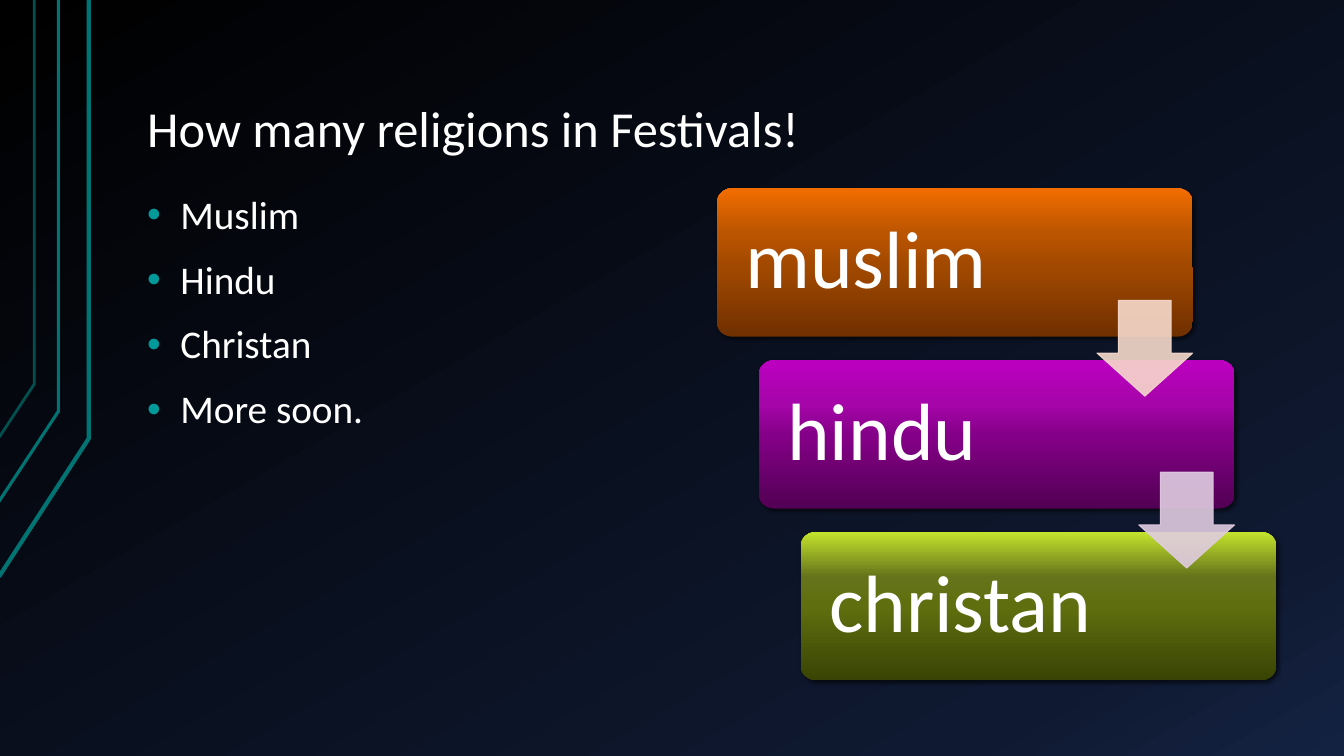
import pptx
import pptx.util
import pptx.dml.color
import pptx.enum.shapes
import pptx.enum.text
import pptx.oxml.ns
from lxml import etree

Inches = pptx.util.Inches
Pt = pptx.util.Pt
SHAPE = pptx.enum.shapes.MSO_SHAPE
ANCHOR = pptx.enum.text.MSO_ANCHOR
qn = pptx.oxml.ns.qn

FONT = "Calibri"
COLORS = {
    "text": "FFFFFF",
    "bullet": "009999",
    "line": "007373",
    "dim": "005050",
    "shadow": "000000",
    "peach": "F7DACC",
    "lilac": "E0CCE1",
}
NIGHT = [(0, "000000"), (85, "0F1931"), (100, "142242")]
ORANGE = [(0, "703000"), (50, "A44A00"), (70, "BC5500"), (100, "F26D00")]
PURPLE = [(0, "520054"), (50, "850088"), (70, "A505A9"), (100, "BC00C0")]
GREEN = [(0, "394404"), (50, "5F6F0F"), (70, "65741A"), (100, "C4E32D")]

BENDS = [  # left, bottom, right, knee, width, colour
    (-0.01, 5.72, 0.88, 4.35, 3, "line"),
    (-0.02, 4.99, 0.58, 4.08, 2.25, "line"),
    (-0.01, 4.34, 0.34, 3.81, 2, "dim"),
]
FAITHS = ["Muslim", "Hindu", "Christan", "More soon."]
CARDS = [("muslim", ORANGE), ("hindu", PURPLE), ("christan", GREEN)]
ARROWS = ["peach", "lilac"]
CARD_X, CARD_Y = 7.11, 1.87
STEP_X, STEP_Y = 0.415, 1.705


def rgb(name):
    return pptx.dml.color.RGBColor.from_string(COLORS[name])


def add_node(parent, tag, **attrs):
    return etree.SubElement(parent, qn(tag), attrs)


def fade(color, alpha):
    """Add an opacity in percent to a colour element."""
    add_node(color, "a:alpha", val=str(alpha * 1000))


def set_blend(fill, stops, angle):
    """Fill with gradient stops; the angle runs counter-clockwise."""
    fill.gradient()
    fill.gradient_angle = angle
    group = fill.gradient_stops[0]._gs.getparent()
    for old in list(group):
        group.remove(old)
    for place, color in stops:
        stop = add_node(group, "a:gs", pos=str(place * 1000))
        add_node(stop, "a:srgbClr", val=color)


def set_shade(shape):
    effects = add_node(shape._element.spPr, "a:effectLst")
    shade = add_node(effects, "a:outerShdw", blurRad=str(Pt(3)),
                     dist=str(Pt(2)), dir=str(45 * 60000))
    fade(add_node(shade, "a:srgbClr", val=COLORS["shadow"]), 60)


def set_font(para, size):
    para.line_spacing = 0.9
    para.font.size = Pt(size)
    para.font.name = FONT
    para.font.color.rgb = rgb("text")


def set_frame(frame, anchor, side, top):
    frame.word_wrap = True
    frame.auto_size = pptx.enum.text.MSO_AUTO_SIZE.NONE
    frame.vertical_anchor = anchor
    frame.margin_left = frame.margin_right = Inches(side)
    frame.margin_top = frame.margin_bottom = Inches(top)


def add_bend(slide, left, bottom, right, knee, width, color):
    build = slide.shapes.build_freeform(Inches(left), Inches(bottom))
    build.add_line_segments(
        [(Inches(right), Inches(knee)), (Inches(right), 0)], close=False)
    bend = build.convert_to_shape()
    bend.fill.background()
    bend.line.color.rgb = rgb(color)
    bend.line.width = Pt(width)
    bend.shadow.inherit = False


def add_title(slide, text):
    title = slide.shapes.title
    title.left, title.top = Inches(1.33), Inches(0.3)
    title.width, title.height = Inches(11.33), Inches(1.34)
    frame = title.text_frame
    set_frame(frame, ANCHOR.BOTTOM, 0.13, 0.07)
    frame.text = text
    para = frame.paragraphs[0]
    para.alignment = pptx.enum.text.PP_ALIGN.LEFT
    set_font(para, 36)


def add_list(slide, items):
    box = slide.shapes.add_textbox(
        Inches(1.33), Inches(1.87), Inches(5.55), Inches(4.88))
    frame = box.text_frame
    set_frame(frame, ANCHOR.TOP, 0.13, 0.07)
    for i, item in enumerate(items):
        para = frame.add_paragraph() if i else frame.paragraphs[0]
        para.text = item
        props = para._p.get_or_add_pPr()
        props.set("marL", str(Inches(0.33)))
        props.set("indent", str(-Inches(0.33)))
        tint = add_node(props, "a:buClr")
        add_node(tint, "a:srgbClr", val=COLORS["bullet"])
        add_node(props, "a:buFont", typeface="Arial")
        add_node(props, "a:buChar", char="•")
        set_font(para, 28)
        para.space_before = Pt(16 if i else 0)


def add_card(slide, x, y, text, stops):
    card = slide.shapes.add_shape(
        SHAPE.ROUNDED_RECTANGLE, Inches(x), Inches(y),
        Inches(4.72), Inches(1.47))
    card.adjustments[0] = 0.1
    set_blend(card.fill, stops, 90)
    card.line.fill.background()
    set_shade(card)
    frame = card.text_frame
    set_frame(frame, ANCHOR.MIDDLE, 0.24, 0.24)
    frame.text = text
    para = frame.paragraphs[0]
    para.alignment = pptx.enum.text.PP_ALIGN.LEFT
    set_font(para, 58)


def add_arrow(slide, x, y, color):
    arrow = slide.shapes.add_shape(
        SHAPE.DOWN_ARROW, Inches(x), Inches(y), Inches(0.95), Inches(0.95))
    arrow.adjustments[0] = 0.45
    arrow.adjustments[1] = 0.55
    # The first adjustment is the shaft width, the second the head length.
    arrow.adjustments[0], arrow.adjustments[1] = 0.55, 0.45
    arrow.fill.solid()
    arrow.fill.fore_color.rgb = rgb(color)
    arrow.line.color.rgb = rgb(color)
    arrow.line.width = Pt(0.75)
    arrow.shadow.inherit = False
    for tint in arrow._element.spPr.iter(qn("a:srgbClr")):
        fade(tint, 90)


def main():
    deck = pptx.Presentation()
    deck.slide_width, deck.slide_height = Inches(13.33), Inches(7.5)
    slide = deck.slides.add_slide(deck.slide_layouts[5])
    set_blend(slide.background.fill, NIGHT, 300)
    for bend in BENDS:
        add_bend(slide, *bend)
    add_title(slide, "How many religions in Festivals!")
    add_list(slide, FAITHS)
    for i, (text, stops) in enumerate(CARDS):
        add_card(slide, CARD_X + i * STEP_X, CARD_Y + i * STEP_Y, text, stops)
    for i, color in enumerate(ARROWS):
        add_arrow(slide, CARD_X + 3.77 + i * STEP_X,
                  CARD_Y + 1.11 + i * STEP_Y, color)
    deck.save("out.pptx")


if __name__ == "__main__":
    main()
